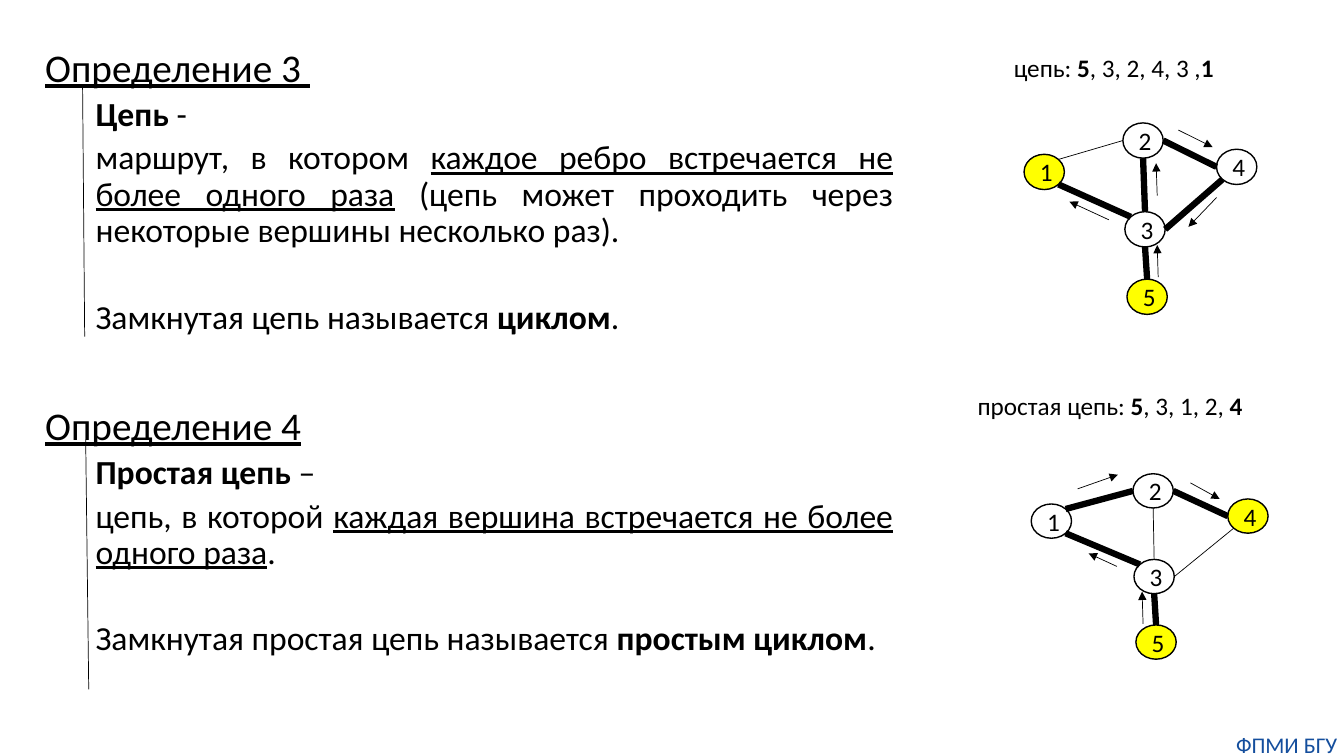
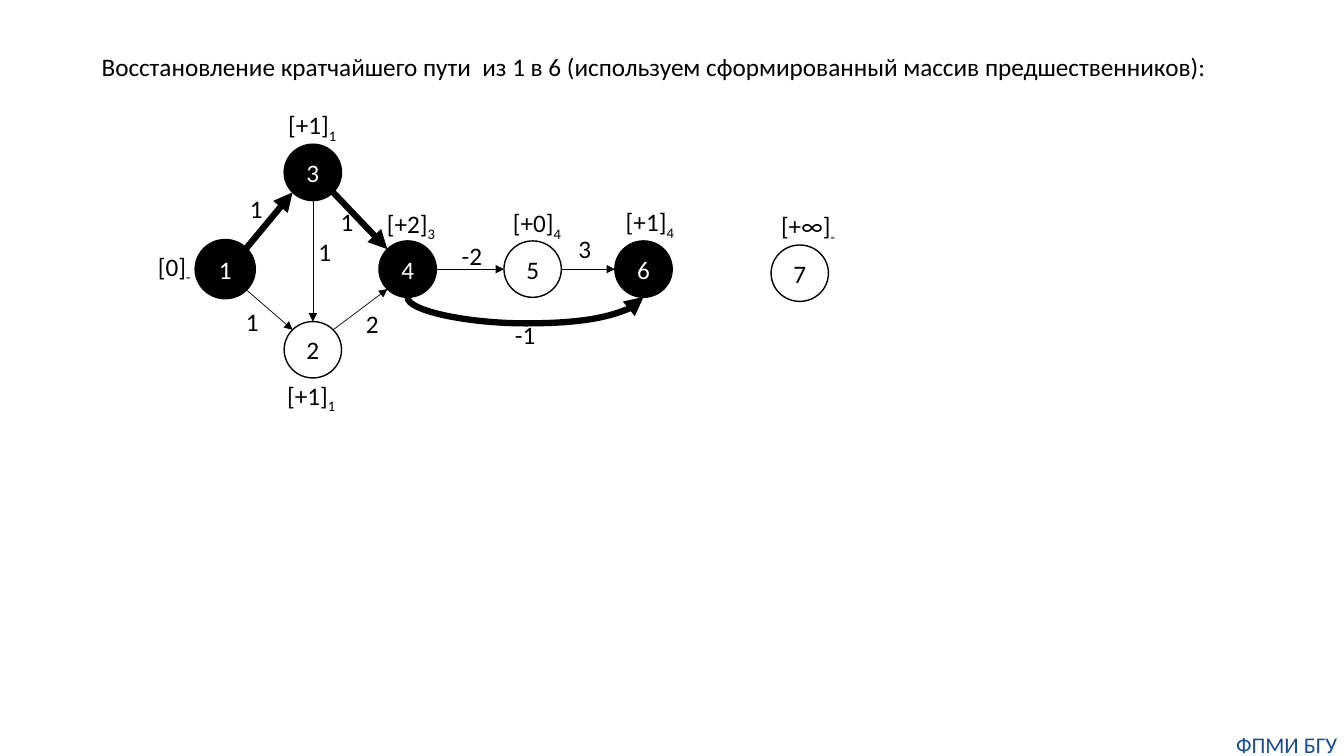
from lxml import etree
from pptx import Presentation
from pptx.dml.color import RGBColor
from pptx.enum.shapes import MSO_CONNECTOR, MSO_SHAPE
from pptx.enum.text import MSO_AUTO_SIZE, PP_ALIGN
from pptx.oxml.ns import qn
from pptx.util import Pt

STRAIGHT, CURVE = MSO_CONNECTOR.STRAIGHT, MSO_CONNECTOR.CURVE
OVAL = MSO_SHAPE.OVAL
LEFT, CENTER, JUSTIFY = PP_ALIGN.LEFT, PP_ALIGN.CENTER, PP_ALIGN.JUSTIFY
FIT_SHAPE = MSO_AUTO_SIZE.SHAPE_TO_FIT_TEXT

BLACK, WHITE, YELLOW, BLUE = "000000", "FFFFFF", "FFFF00", "144E9D"
THIN, OUTLINE, THICK = 0.5, 1, 4.5
BOLD, UNDERLINE = {"bold": True}, {"underline": True}
SUBSCRIPT = "-25000"
DIAGONAL = 0.707
SITES = {
    "N": (0, -1), "S": (0, 1), "W": (-1, 0), "E": (1, 0),
    "NW": (-DIAGONAL, -DIAGONAL), "NE": (DIAGONAL, -DIAGONAL),
    "SW": (-DIAGONAL, DIAGONAL), "SE": (DIAGONAL, DIAGONAL),
}


def color(value):
    return RGBColor.from_string(value)


class Deck:
    font_name = "Calibri"

    def __init__(self):
        self.presentation = Presentation()
        self.presentation.slide_width = Pt(960)
        self.presentation.slide_height = Pt(540)
        self.slide = None

    def new_slide(self):
        self.slide = self.presentation.slides.add_slide(self.presentation.slide_layouts[6])
        self.text((878.4, 522, 81.4, 19.4), [("ФПМИ БГУ", {})],
                  size=16, text_color=BLUE, align=CENTER, margin=0)

    def runs(self, paragraph, runs, size=18, text_color=BLACK):
        for text, style in runs:
            run = paragraph.add_run()
            run.text = text
            values = {"name": self.font_name, "size": Pt(size), **style}
            for name, value in values.items():
                setattr(run.font, name, value)
            run.font.color.rgb = color(text_color)

    def frame(self, box, wrap=True):
        shape = self.slide.shapes.add_textbox(*map(Pt, box))
        shape.text_frame.word_wrap = wrap
        return shape.text_frame

    def text(self, box, runs, wrap=True, size=18, text_color=BLACK, align=LEFT, margin=None):
        frame = self.frame(box, wrap)
        frame.auto_size = FIT_SHAPE
        if margin is not None:
            for side in ("left", "top", "right", "bottom"):
                setattr(frame, f"margin_{side}", Pt(margin))
        paragraph = frame.paragraphs[0]
        paragraph.alignment = align
        self.runs(paragraph, runs, size, text_color)
        return paragraph

    def label(self, left, top, width, text, index=""):
        paragraph = self.text((left, top, width, 28.8), [(text, {})], wrap=False)
        if index:
            self.runs(paragraph, [(index, {})])
            paragraph.runs[-1]._r.get_or_add_rPr().set("baseline", SUBSCRIPT)

    def body(self, box, paragraphs):
        frame = self.frame(box)
        for number, (level, space, runs) in enumerate(paragraphs):
            paragraph = frame.add_paragraph() if number else frame.paragraphs[0]
            values = {"level": level, "alignment": JUSTIFY,
                      "line_spacing": 0.9, "space_before": Pt(space)}
            for name, value in values.items():
                setattr(paragraph, name, value)
            properties = paragraph._p.get_or_add_pPr()
            properties.set("marL", str(Pt(36 * level)))
            properties.set("indent", "0")
            self.runs(paragraph, runs, 24 if level else 28)

    def node(self, box, text, fill=None, outline=OUTLINE):
        shape = self.slide.shapes.add_shape(OVAL, *map(Pt, box))
        shape.shadow.inherit = False
        if fill:
            shape.fill.solid()
            shape.fill.fore_color.rgb = color(fill)
        else:
            shape.fill.background()
        shape.line.color.rgb = color(BLACK)
        shape.line.width = Pt(outline)
        paragraph = shape.text_frame.paragraphs[0]
        paragraph.alignment = CENTER
        self.runs(paragraph, [(text, {})], text_color=WHITE if fill == BLACK else BLACK)

    def line(self, start, end, width=THIN, arrow=False, kind=STRAIGHT):
        connector = self.slide.shapes.add_connector(kind, *map(Pt, (*start, *end)))
        connector.line.color.rgb = color(BLACK)
        connector.line.width = Pt(width)
        if arrow:
            etree.SubElement(connector.line._get_or_add_ln(), qn("a:tailEnd"), type="triangle")
        etree.SubElement(connector._element.spPr, qn("a:effectLst"))
        return connector

    def arc_below(self, start, end, depth):
        middle = (start[0] + end[0]) / 2
        half = (end[0] - start[0]) / 2
        thickness = 0.5
        connector = self.line((middle + thickness / 2, start[1] + half),
                              (middle - thickness / 2, start[1] - half),
                              THICK, True, CURVE)
        properties = connector._element.spPr
        properties.find(qn("a:xfrm")).set("rot", "5400000")
        adjustments = properties.find(qn("a:prstGeom")).get_or_add_avLst()
        etree.SubElement(adjustments, qn("a:gd"), name="adj1",
                         fmla=f"val {round(-depth / thickness * 100000)}")

    def graph(self, places, size, edges, filled, fill, arrows=False, outlines=None):
        width, height = size

        def site(place):
            name, side = place
            left, top = places[name]
            across, down = SITES[side]
            return left + width / 2 * (1 + across), top + height / 2 * (1 + down)

        for name, place in places.items():
            self.node((*place, *size), name, fill if name in filled else None,
                      (outlines or {}).get(name, OUTLINE))
        for start, end, weight in edges:
            self.line(site(start), site(end), weight, arrows)
        return site


def definitions(deck):
    deck.new_slide()
    deck.body((25.2, 31, 619.9, 493.9), [
        (0, 0, [("Определение 3 ", UNDERLINE)]),
        (1, 5, [("Цепь", BOLD), (" - ", {})]),
        (1, 5, [("маршрут, в котором ", {}),
                ("каждое ребро встречается не более одного раза", UNDERLINE),
                (" (цепь может проходить через некоторые вершины несколько раз).", {})]),
        (1, 36, [("Замкнутая цепь называется ", {}), ("циклом", BOLD), (".", {})]),
        (0, 50, [("Определение 4", UNDERLINE)]),
        (1, 5, [("Простая цепь ", BOLD), ("–", {})]),
        (1, 5, [("цепь, в которой ", {}),
                ("каждая вершина встречается не более одного раза", UNDERLINE), (".", {})]),
        (1, 36, [("Замкнутая простая цепь называется ", {}),
                 ("простым циклом", BOLD), (".", {})]),
    ])
    deck.line((59, 62), (60.5, 240.5))
    deck.line((61.2, 314), (63.4, 492.5))

    deck.text((717.1, 33.8, 170, 28.8), [
        ("цепь: ", {}), ("5", BOLD), (", 3, 2, 4, 3 ,", {}), ("1", BOLD)])
    deck.text((691.2, 275, 214.6, 28.8), [
        ("простая цепь: ", {}), ("5", BOLD), (", 3, 1, 2, ", {}), ("4", BOLD)])

    edges = [
        (("1", "SE"), ("3", "NW")), (("3", "N"), ("2", "S")),
        (("3", "E"), ("4", "SW")), (("2", "E"), ("4", "W")),
        (("3", "S"), ("5", "N")), (("1", "NE"), ("2", "W")),
    ]
    chain = {"1": (731.5, 110.2), "2": (802.1, 87.8), "3": (803.5, 151.2),
             "4": (869, 106.6), "5": (805, 199.4)}
    simple_chain = {"1": (736.6, 360), "2": (809.3, 338.4), "3": (810, 399.6),
                    "4": (877, 356.4), "5": (811.4, 446.4)}
    for places, height, ends, unused in (
        (chain, 25.2, "15", {"12"}),
        (simple_chain, 24.5, "45", {"32", "34"}),
    ):
        weighted = [(start, end, THIN if start[0] + end[0] in unused else THICK)
                    for start, end in edges]
        deck.graph(places, (28.8, height), weighted, ends, YELLOW)

    for start, end in (
        ((827.3, 198), (826.6, 175)), ((826.6, 139.7), (825.8, 116.6)),
        ((841.7, 92.9), (866.2, 105.1)), ((869, 141.1), (848.9, 162)),
        ((792, 157), (763.9, 144)), ((816.5, 445.7), (815.8, 422.6)),
        ((797.8, 404.6), (777.6, 395.3)), ((769.7, 349.2), (798.5, 339.1)),
        ((850.3, 344.9), (871.2, 356.4)),
    ):
        deck.line(start, end, arrow=True)


def shortest_path(deck):
    deck.new_slide()
    deck.text((65.5, 33.1, 812.9, 28.8), [(
        "Восстановление кратчайшего пути  из 1 в 6 "
        "(используем сформированный массив предшественников):", {})], wrap=False)
    row = 172.1
    places = {"1": (140.4, row), "2": (203, 229.7), "3": (203, 103), "4": (270.7, row),
              "5": (360, row), "6": (439.2, row), "7": (550.8, 175)}
    edges = [
        (("1", "NE"), ("3", "SW"), THICK), (("1", "SE"), ("2", "NW"), THIN),
        (("3", "SE"), ("4", "NW"), THICK), (("3", "S"), ("2", "N"), THIN),
        (("2", "NE"), ("4", "SW"), THIN), (("4", "E"), ("5", "W"), THIN),
        (("5", "E"), ("6", "W"), THIN),
    ]
    site = deck.graph(places, (41, 40.3), edges, "1346", BLACK, True, {"1": 3})
    deck.arc_below(site(("4", "S")), site(("6", "S")), 18)

    for left, top, weight in (
        (171.4, 134.6, "1"), (168.5, 215.3, "1"), (220.3, 165.6, "1"), (236.2, 144, "1"),
        (406.1, 163.4, "3"), (322.6, 167.8, "-2"), (360.7, 224.6, "-1"), (254.2, 216.7, "2"),
    ):
        deck.label(left, top, 29.5 if len(weight) > 1 else 23.8, weight)
    for left, top, width, distance, previous in (
        (105.8, 175.7, 38.9, "[0]", "-"), (550.8, 146.9, 54, "[+∞]", "-"),
        (198, 267.8, 50.4, "[+1]", "1"), (198.7, 74.9, 50.4, "[+1]", "1"),
        (269.3, 145.4, 50.4, "[+2]", "3"), (359.3, 144.7, 50.4, "[+0]", "4"),
        (439.9, 144, 50.4, "[+1]", "4"),
    ):
        deck.label(left, top, width, distance, previous)


def main():
    deck = Deck()
    definitions(deck)
    shortest_path(deck)
    deck.presentation.save("out.pptx")


if __name__ == "__main__":
    main()
